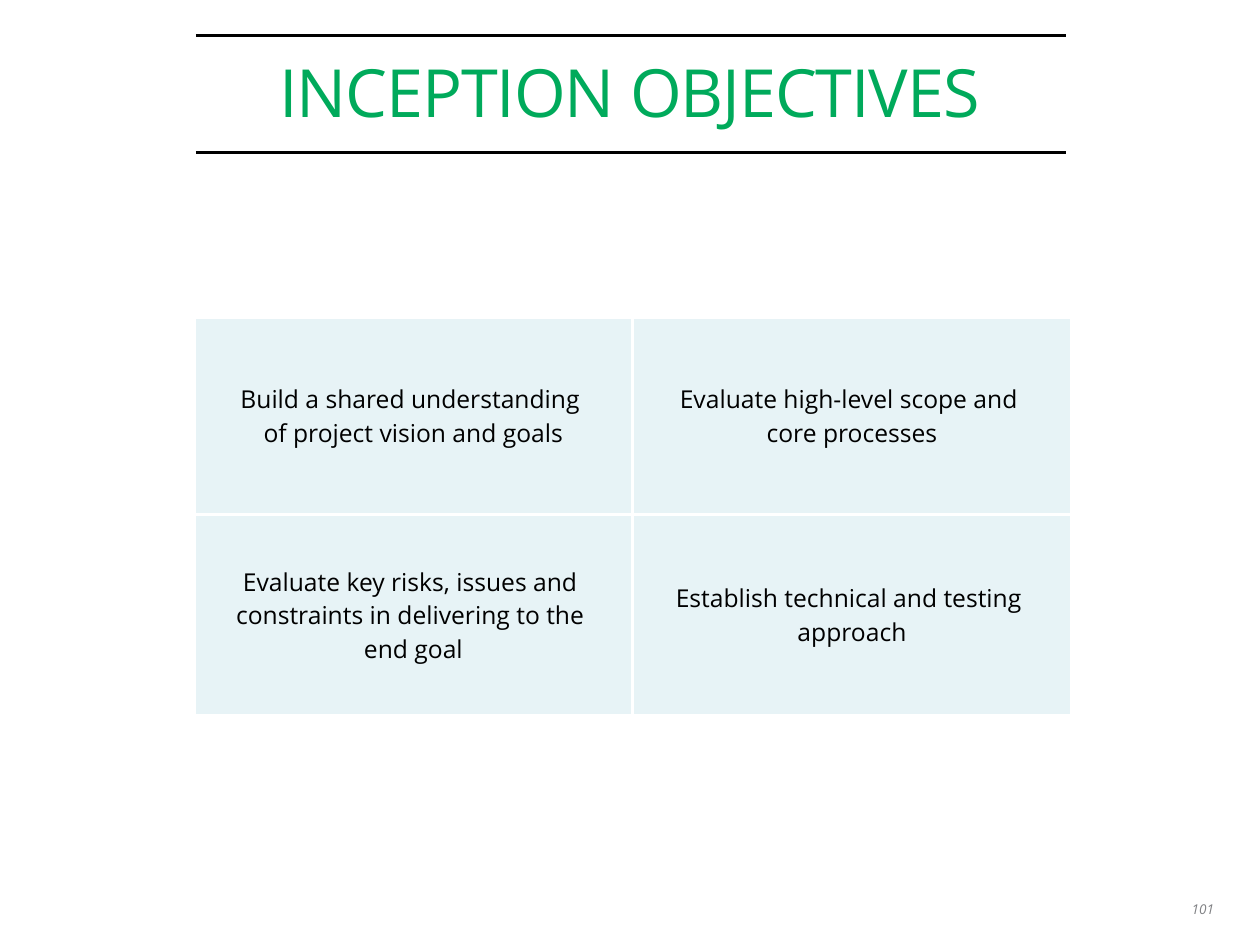
import pptx
import pptx.util
import pptx.dml.color
import pptx.enum.shapes
import pptx.enum.text
import pptx.oxml
import pptx.oxml.ns
from lxml import etree

Inches = pptx.util.Inches
Pt = pptx.util.Pt
ALIGN = pptx.enum.text.PP_ALIGN
ANCHOR = pptx.enum.text.MSO_ANCHOR

TITLE = "INCEPTION OBJECTIVES"
PAGE_NUMBER = "101"
OBJECTIVES = [
    ["Build a shared understanding \vof project vision and goals",
     "Evaluate high-level scope and \vcore processes"],
    ["Evaluate key risks, issues and \vconstraints in delivering to the \vend goal",
     "Establish technical and testing \vapproach"],
]
COLORS = {"title": "00AA5B", "text": "000000", "rule": "000000",
          "number": "808184", "cell": "E7F3F6", "border": "FFFFFF"}
FONT = "Open Sans"
RULE_LEFT, RULE_RIGHT = 2.21, 12.03
RULE_HEIGHTS = [1.72, 0.4]
COLUMN_WIDTH = 4.95
ROW_HEIGHTS = [2.23, 2.27]


def rgb(name):
    return pptx.dml.color.RGBColor.from_string(COLORS[name])


def style(paragraph, size, color, alignment, line_spacing=None, italic=None):
    paragraph.alignment = alignment
    paragraph.line_spacing = line_spacing
    font = paragraph.font
    font.name, font.size, font.italic = FONT, Pt(size), italic
    font.color.rgb = rgb(color)


def add_text(slide, text, left, top, width, height):
    box = slide.shapes.add_textbox(Inches(left), Inches(top), Inches(width), Inches(height))
    frame = box.text_frame
    frame.text = text
    frame.word_wrap = True
    return frame


def add_rule(slide, top):
    rule = slide.shapes.add_connector(
        pptx.enum.shapes.MSO_CONNECTOR.STRAIGHT,
        Inches(RULE_LEFT), Inches(top), Inches(RULE_RIGHT), Inches(top))
    rule.line.color.rgb = rgb("rule")
    rule.line.width = Pt(2)
    etree.SubElement(rule._element.spPr, pptx.oxml.ns.qn("a:effectLst"))


def set_borders(cell, width):
    properties = cell._tc.get_or_add_tcPr()
    for position, side in enumerate(("lnL", "lnR", "lnT", "lnB")):
        border = pptx.oxml.parse_xml(
            f'<a:{side} {pptx.oxml.ns.nsdecls("a")} w="{Pt(width)}"><a:solidFill>'
            f'<a:srgbClr val="{COLORS["border"]}"/></a:solidFill></a:{side}>')
        properties.insert(position, border)


def add_objectives(slide):
    rows, columns = len(OBJECTIVES), len(OBJECTIVES[0])
    table = slide.shapes.add_table(
        rows, columns, Inches(2.19), Inches(3.58),
        Inches(COLUMN_WIDTH * columns), Inches(sum(ROW_HEIGHTS))).table
    table.first_row = table.horz_banding = False
    for column in table.columns:
        column.width = Inches(COLUMN_WIDTH)
    for r, (height, texts) in enumerate(zip(ROW_HEIGHTS, OBJECTIVES)):
        table.rows[r].height = Inches(height)
        for c, text in enumerate(texts):
            cell = table.cell(r, c)
            cell.text = text
            cell.vertical_anchor = ANCHOR.MIDDLE
            cell.fill.solid()
            cell.fill.fore_color.rgb = rgb("cell")
            set_borders(cell, 3)
            style(cell.text_frame.paragraphs[0], 20, "text", ALIGN.CENTER, 1.0)


def main():
    presentation = pptx.Presentation()
    presentation.slide_width = Inches(14.22)
    presentation.slide_height = Inches(10.67)
    slide = presentation.slides.add_slide(presentation.slide_layouts[6])

    for top in RULE_HEIGHTS:
        add_rule(slide, top)

    title = add_text(slide, TITLE, 2.19, 0.74, 9.83, 0.79)
    title.vertical_anchor = ANCHOR.MIDDLE
    title.margin_left = title.margin_right = title.margin_top = title.margin_bottom = 0
    style(title.paragraphs[0], 54, "title", ALIGN.CENTER, 0.7)
    title.paragraphs[0].runs[0]._r.get_or_add_rPr().set("spc", "-90")

    number = add_text(slide, PAGE_NUMBER, 13.35, 10.12, 0.45, 0.32)
    number.margin_left = 0
    style(number.paragraphs[0], 11, "number", ALIGN.RIGHT, italic=True)

    add_objectives(slide)
    presentation.save("out.pptx")


if __name__ == "__main__":
    main()
